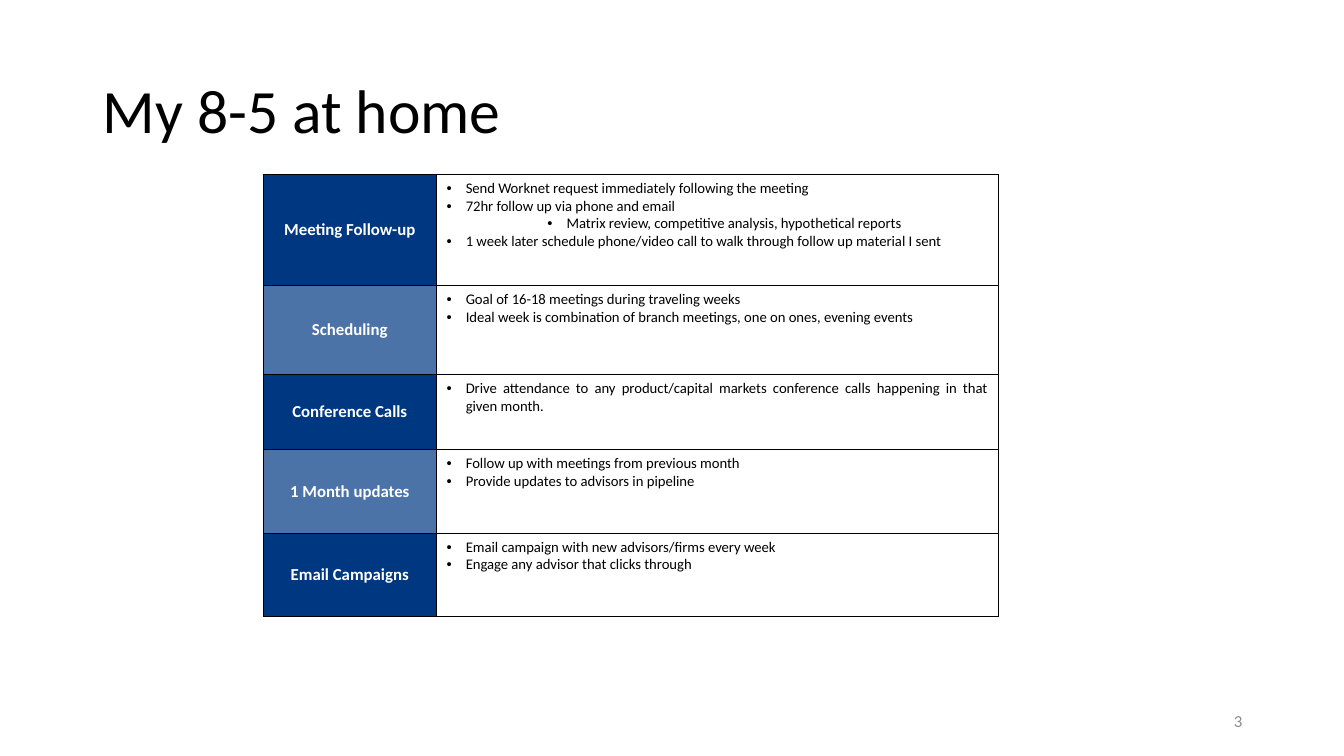
from lxml import etree
from pptx import Presentation
from pptx.dml.color import RGBColor
from pptx.enum.text import MSO_ANCHOR as Anchor, PP_ALIGN as Align
from pptx.oxml.ns import qn
from pptx.util import Inches, Pt

FONT = "Calibri"
COLORS = {"navy": "003781", "steel": "4C73A7", "white": "FFFFFF",
          "black": "000000", "gray": "8C8C8C"}
COLS = [1.72, 5.57]
# Each row: height, label, list of (level, text)
ROWS = [
    (1.1, "Meeting Follow-up", [
        (0, "Send Worknet request immediately following the meeting"),
        (0, "72hr follow up via phone and email"),
        (2, "Matrix review, competitive analysis, hypothetical reports"),
        (0, "1 week later schedule phone/video call to walk through "
            "follow up material I sent")]),
    (0.89, "Scheduling", [
        (0, "Goal of 16-18 meetings during traveling weeks"),
        (0, "Ideal week is combination of branch meetings, one on ones, "
            "evening events")]),
    (0.74, "Conference Calls", [
        (0, "Drive attendance to any product/capital markets conference "
            "calls happening in that given month.")]),
    (0.83, "1 Month updates", [
        (0, "Follow up with meetings from previous month"),
        (0, "Provide updates to advisors in pipeline")]),
    (0.83, "Email Campaigns", [
        (0, "Email campaign with new advisors/firms every week"),
        (0, "Engage any advisor that clicks through")]),
]


def rgb(name):
    return RGBColor.from_string(COLORS[name])


def add_run(para, text, size, color, bold=False):
    run = para.add_run()
    run.text = text
    font = run.font
    font.name, font.size, font.bold = FONT, Pt(size), bold
    font.color.rgb = rgb(color)


def add_bullet(para, level):
    """Give a paragraph a hanging bullet, half an inch deeper per level."""
    para.level = level
    props = para._p.get_or_add_pPr()
    props.set("marL", str(Inches(0.19 + level * 0.5)))
    props.set("indent", str(Inches(-0.19)))
    etree.SubElement(props, qn("a:buFont"), typeface="Arial")
    etree.SubElement(props, qn("a:buChar"), char="•")


def add_border(cell):
    props = cell._tc.get_or_add_tcPr()
    for side in ("lnL", "lnR", "lnT", "lnB"):
        line = etree.SubElement(props, qn(f"a:{side}"), w=str(Pt(0.75)))
        fill = etree.SubElement(line, qn("a:solidFill"))
        etree.SubElement(fill, qn("a:srgbClr"), val=COLORS["black"])


def fill_label(cell, text, color):
    add_border(cell)
    cell.fill.solid()
    cell.fill.fore_color.rgb = rgb(color)
    cell.vertical_anchor = Anchor.MIDDLE
    para = cell.text_frame.paragraphs[0]
    para.alignment = Align.CENTER
    add_run(para, text, 12, "white", bold=True)


def fill_list(cell, items):
    add_border(cell)
    cell.fill.background()
    frame = cell.text_frame
    for i, (level, text) in enumerate(items):
        para = frame.add_paragraph() if i else frame.paragraphs[0]
        para.alignment = Align.JUSTIFY
        add_bullet(para, level)
        add_run(para, text, 10.5, "black")


def add_title(slide, text):
    title = slide.shapes.title
    title.left, title.top = Inches(0.92), Inches(0.4)
    title.width, title.height = Inches(11.5), Inches(1.45)
    frame = title.text_frame
    frame.vertical_anchor = Anchor.MIDDLE
    para = frame.paragraphs[0]
    para.alignment, para.line_spacing = Align.LEFT, 0.9
    add_run(para, text, 44, "black")


def add_tasks(slide):
    height = sum(row[0] for row in ROWS)
    table = slide.shapes.add_table(
        len(ROWS), len(COLS), Inches(2.61), Inches(1.73),
        Inches(sum(COLS)), Inches(height)).table
    table.first_row = table.horz_banding = False
    for col, width in zip(table.columns, COLS):
        col.width = Inches(width)
    for i, (height, label, items) in enumerate(ROWS):
        table.rows[i].height = Inches(height)
        fill_label(table.cell(i, 0), label, ("navy", "steel")[i % 2])
        fill_list(table.cell(i, 1), items)


def add_number(slide, text):
    box = slide.shapes.add_textbox(
        Inches(9.42), Inches(6.95), Inches(3), Inches(0.4))
    frame = box.text_frame
    frame.word_wrap = True
    frame.vertical_anchor = Anchor.MIDDLE
    para = frame.paragraphs[0]
    para.alignment = Align.RIGHT
    add_run(para, text, 12, "gray")


def main():
    deck = Presentation()
    deck.slide_width, deck.slide_height = Inches(13.33), Inches(7.5)
    slide = deck.slides.add_slide(deck.slide_layouts[5])
    add_title(slide, "My 8-5 at home")
    add_tasks(slide)
    add_number(slide, "3")
    deck.save("out.pptx")


if __name__ == "__main__":
    main()
